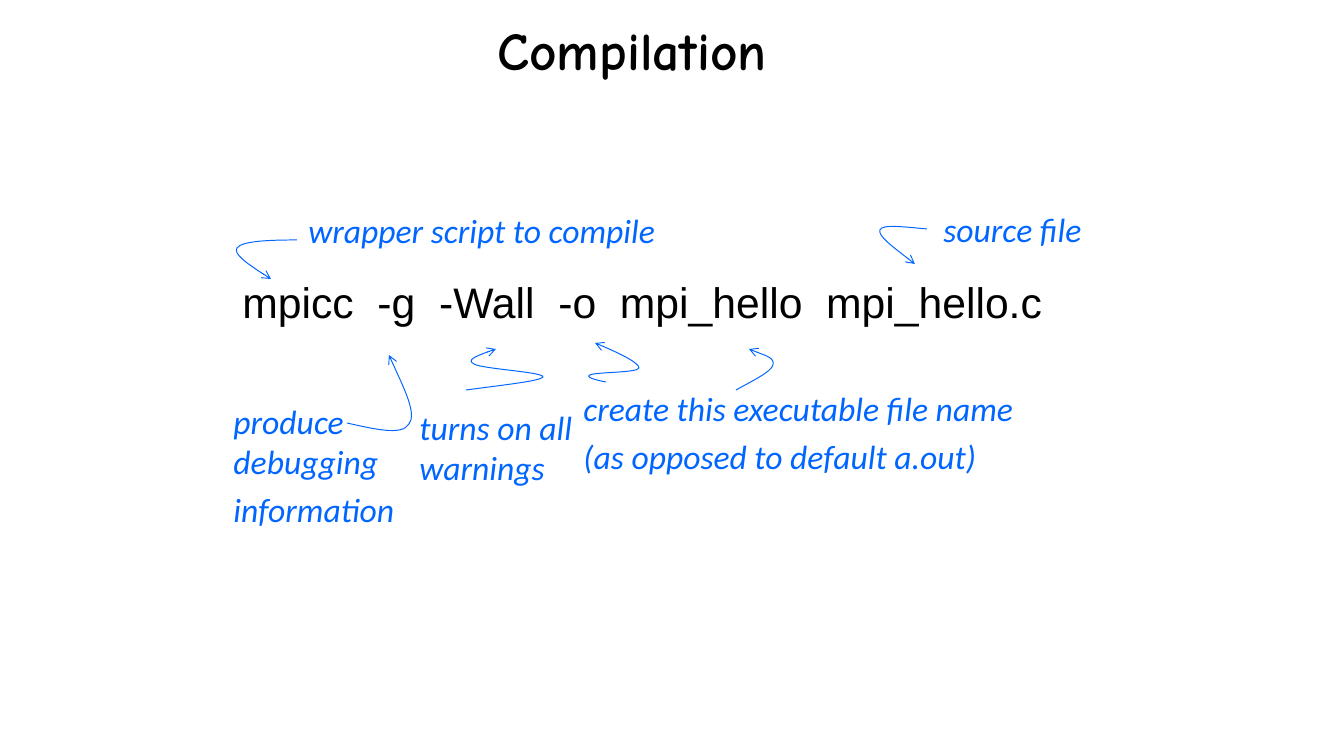
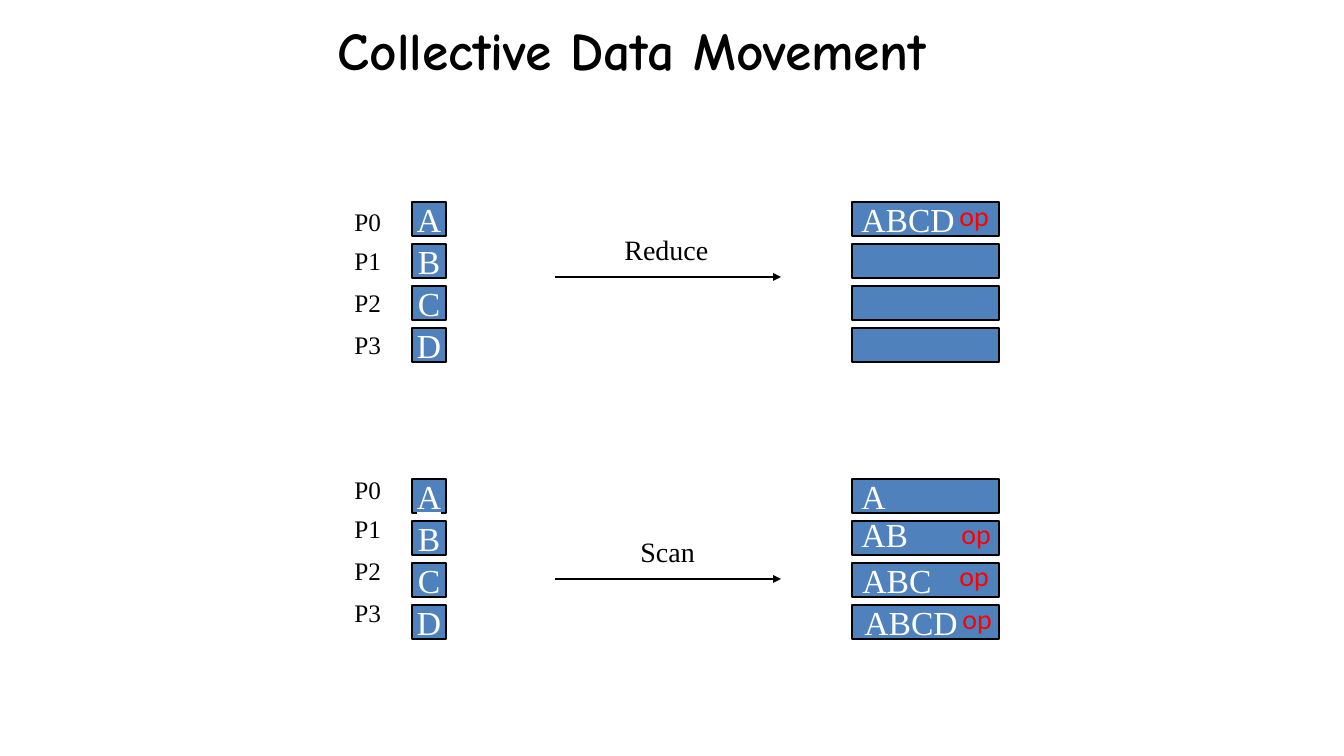
"""Builds two slides on message passing: compiling a program, and reduce and scan."""
from dataclasses import dataclass, field

from lxml.etree import SubElement as sub
from pptx import Presentation
from pptx.dml.color import RGBColor as Rgb
from pptx.enum.shapes import MSO_CONNECTOR as Conn, MSO_SHAPE as Form
from pptx.enum.text import MSO_ANCHOR as Anchor, MSO_AUTO_SIZE as Fit, PP_ALIGN as Align
from pptx.oxml.ns import qn
from pptx.util import Pt

PX = 9525
WIDE, HIGH = 1344, 756


def face(name, size, ink, **more):
    return dict(name=name, size=Pt(size), ink=ink, **more)


@dataclass
class Theme:
    ink: str = "000000"
    note: str = "0066FF"
    fill: str = "4F81BD"
    thin: float = 0.75
    edge: float = 1
    gap: int = 6
    font: dict = field(default_factory=lambda: {
        "title": face("Comic Neue", 40, "000000", bold=True),
        "code": face("Arial", 32, "000000"),
        "note": face("Calibri", 25.2, "0066FF", italic=True),
        "rank": face("Times New Roman", 18.9, "000000"),
        "cell": face("Times New Roman", 25.2, "FFFFFF"),
        "step": face("Times New Roman", 21, "000000"),
        "op": face("Calibri", 21, "FF0000"),
    })


LOOK = Theme()

TITLES = ["Compilation", "Collective Data Movement"]
TITLE_BOX = (67, 8, 1130, 83)

CODE = ("mpicc  -g  -Wall  -o  mpi_hello  mpi_hello.c", (233, 271, 904, 61))
NOTES = [
    (["wrapper script to compile"], (299, 205, 366, 50), False),
    (["turns on all warnings"], (410, 402, 180, 91), True),
    (["source file"], (934, 204, 157, 50), False),
    (["create this executable file name", "(as opposed to default a.out)"],
     (574, 383, 449, 99), False),
    (["produce\vdebugging", "information"], (224, 396, 180, 139), False),
]
CURVES = {
    "mpicc": [(297, 240), (269, 240), (242, 241), (237, 248),
              (233, 254), (252, 267), (271, 279)],
    "source": [(927, 229), (905, 227), (882, 224), (880, 230),
               (878, 236), (897, 250), (915, 264)],
    "debug": [(347, 423), (374, 429), (402, 436), (409, 424),
              (417, 414), (402, 384), (389, 355)],
    "warn": [(466, 390), (503, 385), (541, 381), (543, 377), (544, 372),
             (482, 369), (474, 364), (466, 360), (481, 354), (496, 349)],
    "name": [(736, 390), (754, 380), (771, 372), (773, 365),
             (775, 358), (761, 354), (749, 349)],
    "out": [(606, 382), (595, 380), (585, 377), (590, 375), (596, 372),
            (638, 373), (639, 368), (639, 363), (617, 352), (595, 343)],
}

INPUT = "ABCD"
RANK_X, RANK_DY = 345, (0, 39, 81, 123)
CELL_X, CELL, PITCH = 412, 34, 42
OUT_X, OUT_W = 852, 147
ARROW = (555, 781)
MOVES = [
    dict(step="Reduce", box=(615, 228, 103, 43), top=202, rank=202, line=277,
         under="", out=["ABCD", "", "", ""], over=[],
         ops=[(950, 194)]),
    dict(step="Scan", box=(631, 530, 74, 43), top=479, rank=470, line=579,
         under="A", out=["A", "", "", ""],
         over=[("AB", (852, 509, 84, 50)), ("ABC", (853, 555, 100, 50)),
               ("ABCD", (855, 597, 124, 50))],
         ops=[(952, 512), (950, 554), (953, 597)]),
]


def px(*vals):
    return [v * PX for v in vals]


def give(obj, **vals):
    for key, val in vals.items():
        setattr(obj, key, val)


def style(font, kind, **more):
    vals = {**LOOK.font[kind], **more}
    font.color.rgb = Rgb.from_string(vals.pop("ink"))
    give(font, **vals)


def write(frame, lines, kind, align=Align.LEFT, **more):
    for i, line in enumerate(lines):
        para = frame.add_paragraph() if i else frame.paragraphs[0]
        para.text = line
        para.alignment = align
        if i:
            para.space_before = Pt(LOOK.gap)
        for run in para.runs:
            style(run.font, kind, **more)


def label(slide, lines, box, kind, wrap=False):
    frame = slide.shapes.add_textbox(*px(*box)).text_frame
    give(frame, word_wrap=wrap, auto_size=Fit.SHAPE_TO_FIT_TEXT)
    write(frame, lines, kind)


def cell(slide, text, box, align, **more):
    rect = slide.shapes.add_shape(Form.RECTANGLE, *px(*box))
    rect.shadow.inherit = False
    rect.fill.solid()
    rect.fill.fore_color.rgb = Rgb.from_string(LOOK.fill)
    stroke(rect, LOOK.ink, LOOK.edge)
    if text:
        give(rect.text_frame, word_wrap=False, vertical_anchor=Anchor.MIDDLE)
        write(rect.text_frame, [text], "cell", align, **more)


def stroke(shape, ink, width):
    shape.line.color.rgb = Rgb.from_string(ink)
    shape.line.width = Pt(width)


def tip(shape, kind):
    props = shape.element.spPr
    sub(props.find(qn("a:ln")), qn("a:tailEnd"), type=kind)
    sub(props, qn("a:effectLst"))


def curve(slide, points):
    pen = slide.shapes.build_freeform(*points[0], scale=PX)
    pen.add_line_segments(points[1:], close=False)
    shape = pen.convert_to_shape()
    track = shape.element.spPr.find(".//" + qn("a:path"))
    legs = track.findall(qn("a:lnTo"))
    for i in range(0, len(legs), 3):
        bend = sub(track, qn("a:cubicBezTo"))
        for leg in legs[i:i + 3]:
            bend.append(leg[0])
            track.remove(leg)
    shape.fill.background()
    stroke(shape, LOOK.note, LOOK.thin)
    tip(shape, "arrow")


def start(deck, text):
    slide = deck.slides.add_slide(deck.slide_layouts[5])
    title = slide.shapes.title
    give(title, **dict(zip(("left", "top", "width", "height"), px(*TITLE_BOX))))
    side, edge = px(12, 6)
    give(title.text_frame, margin_left=side, margin_right=side, margin_top=edge,
         margin_bottom=edge, vertical_anchor=Anchor.MIDDLE, word_wrap=True)
    write(title.text_frame, [text], "title", Align.CENTER)
    return slide


def compile_slide(slide):
    text, box = CODE
    label(slide, [text], box, "code", True)
    for lines, box, wrap in NOTES:
        label(slide, lines, box, "note", wrap)
    for points in CURVES.values():
        curve(slide, points)


def move_slide(slide):
    for move in MOVES:
        for i, (name, out) in enumerate(zip(INPUT, move["out"])):
            y = move["top"] + i * PITCH
            label(slide, [f"P{i}"], (RANK_X, move["rank"] + RANK_DY[i], 46, 40), "rank")
            cell(slide, name, (CELL_X, y, CELL, CELL), Align.CENTER,
                 underline=name == move["under"])
            cell(slide, out, (OUT_X, y, OUT_W, CELL), Align.LEFT)
        for text, box in move["over"]:
            label(slide, [text], box, "cell", True)
        for x, y in move["ops"]:
            label(slide, ["op"], (x, y, 49, 43), "op")
        left, right = ARROW
        line = slide.shapes.add_connector(
            Conn.STRAIGHT, *px(left, move["line"], right, move["line"]))
        stroke(line, LOOK.ink, LOOK.edge)
        tip(line, "triangle")
        label(slide, [move["step"]], move["box"], "step")


def main():
    deck = Presentation()
    give(deck, slide_width=WIDE * PX, slide_height=HIGH * PX)
    for text, fill in zip(TITLES, (compile_slide, move_slide)):
        fill(start(deck, text))
    deck.save("out.pptx")


if __name__ == "__main__":
    main()
